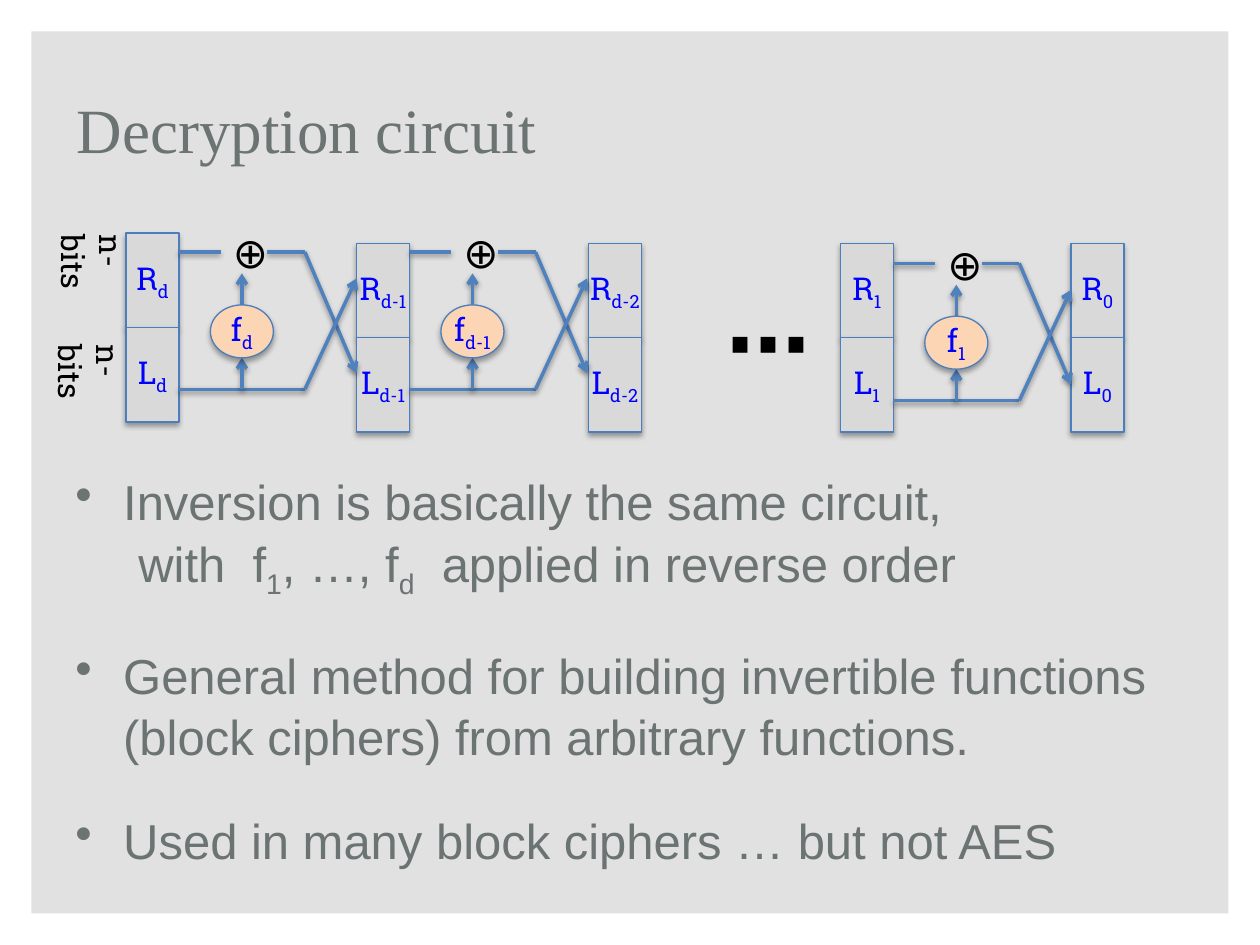
from lxml.etree import SubElement as Sub
from pptx import Presentation
from pptx.dml.color import RGBColor as Rgb
from pptx.enum.shapes import MSO_CONNECTOR as Conn, MSO_SHAPE as Form
from pptx.enum.text import MSO_ANCHOR as Anchor, PP_ALIGN as Align
from pptx.oxml.ns import qn
from pptx.util import Inches, Pt

TITLE = "Decryption circuit"
POINTS = [
    "Inversion is basically the same circuit, \n\twith  f|1|, …, f|d|  applied in reverse order",
    "General method for building invertible functions (block ciphers) from arbitrary functions.",
    "Used in many block ciphers … but not AES",
]
BLOCKS = [("d", 1, 1.85), ("d-1", 2.83, 1.93), ("d-2", 4.67, 1.93),
          ("1", 6.67, 1.93), ("0", 8.5, 1.93)]
ROUNDS = [("d", 1, 2), ("d-1", 2.83, 2), ("1", 6.67, 2.09)]
SIDES = [("n-bits", 0.49, 1.96), ("n-bits", 0.47, 2.83)]
WIRES = [
    (0.42, 1.09, 1.42, 1.09, False),
    (0.42, 0, 0.75, 0, False),
    (1.12, 0, 1.42, 0, False),
    (1.42, 0, 1.83, 0.96, True),
    (1.42, 1.09, 1.83, 0.21, True),
    (0.92, 1.09, 0.92, 0.84, True),
    (0.92, 0.42, 0.92, 0.17, True),
]
THEME = dict(
    panel="E1E1E1", text="6C7373", cell="D9D9D9", gate="FCD5B5",
    edge="4B7EBC", wire="4F81BD", label="0000FF", ink="000000",
    head="Times New Roman", body="Arial", slab="Roboto Slab",
    title=36, point=28, small=18, xor=24, dots=48,
)


def write(frame, text, font="slab", size="small", color="ink", bold=False,
          align=Align.LEFT, anchor=Anchor.TOP, pad=0.1, wrap=True, new=False):
    frame.word_wrap = wrap
    frame.vertical_anchor = anchor
    frame.margin_left = frame.margin_right = Inches(pad)
    frame.margin_top = frame.margin_bottom = Inches(0.05)
    para = frame.add_paragraph() if new else frame.paragraphs[0]
    para.alignment = align
    for i, part in enumerate(text.split("|")):
        for j, line in enumerate(part.split("\n")):
            if j:
                para.add_line_break()
            run = para.add_run()
            run.text = line
            run.font.name = THEME[font]
            run.font.size = Pt(THEME[size])
            run.font.bold = bold
            run.font.color.rgb = Rgb.from_string(THEME[color])
            if i % 2:
                run.font._element.set("baseline", "-25000")
    return para


def shade(item, alpha, dist):
    props = item._element.spPr
    glow = Sub(Sub(props, qn("a:effectLst")), qn("a:outerShdw"),
               blurRad=str(Pt(3.1)), dist=str(Pt(dist)), dir="5400000",
               rotWithShape="0")
    tint = Sub(glow, qn("a:srgbClr"), val=THEME["ink"])
    Sub(tint, qn("a:alpha"), val=str(alpha * 1000))


def node(slide, form, text, x, y, wide, high, fill):
    item = slide.shapes.add_shape(form, *map(Inches, (x, y, wide, high)))
    item.fill.solid()
    item.fill.fore_color.rgb = Rgb.from_string(THEME[fill])
    item.line.color.rgb = Rgb.from_string(THEME["edge"])
    item.line.width = Pt(0.75)
    shade(item, 35, 1.8)
    write(item.text_frame, text, color="label", align=Align.CENTER,
          anchor=Anchor.MIDDLE, pad=0)


def wire(slide, x1, y1, x2, y2, arrow):
    item = slide.shapes.add_connector(
        Conn.STRAIGHT, *map(Inches, (x1, y1, x2, y2)))
    item.line.color.rgb = Rgb.from_string(THEME["wire"])
    item.line.width = Pt(2)
    if arrow:
        Sub(item.line._get_or_add_ln(), qn("a:tailEnd"), type="arrow")
    shade(item, 38, 1.6)


def label(slide, text, x, y, wide, high, **style):
    item = slide.shapes.add_textbox(*map(Inches, (x, y, wide, high)))
    write(item.text_frame, text, **style)
    return item


def main():
    deck = Presentation()
    deck.slide_width, deck.slide_height = Inches(10), Inches(7.5)
    slide = deck.slides.add_slide(deck.slide_layouts[5])

    panel = slide.shapes.add_shape(
        Form.RECTANGLE, *map(Inches, (0.25, 0.25, 9.5, 7)))
    panel.fill.solid()
    panel.fill.fore_color.rgb = Rgb.from_string(THEME["panel"])
    panel.line.fill.background()
    panel.shadow.inherit = False
    slide.shapes._spTree.insert(2, panel._element)

    title = slide.shapes.title
    title.left, title.top, title.width, title.height = map(
        Inches, (0.51, 0.48, 7.91, 1.07))
    write(title.text_frame, TITLE, font="head", size="title", color="text",
          anchor=Anchor.MIDDLE)

    body = slide.shapes.add_textbox(*map(Inches, (0.5, 3.67, 9.33, 2.9)))
    for i, point in enumerate(POINTS):
        para = write(body.text_frame, point, font="body", size="point",
                     color="text", new=i > 0)
        props = para._p.get_or_add_pPr()
        props.set("marL", str(Inches(0.38)))
        props.set("indent", str(Inches(-0.38)))
        Sub(props, qn("a:buChar"), char="•")
        para.line_spacing = 1.05
        if i:
            para.space_before = Pt(23.8)

    for sub, x, y in BLOCKS:
        for row, name in enumerate("RL"):
            node(slide, Form.RECTANGLE, f"{name}|{sub}",
                 x, y + row * 0.75, 0.42, 0.75, "cell")

    for text, x, y in SIDES:
        label(slide, text, x, y, 0.79, 0.4).rotation = 90

    for sub, x, y in ROUNDS:
        label(slide, "⊕", x + 0.75, y - 0.25, 0.37, 0.5, size="xor", wrap=False)
        for x1, y1, x2, y2, arrow in WIRES:
            wire(slide, x + x1, y + y1, x + x2, y + y2, arrow)
        node(slide, Form.OVAL, f"f|{sub}", x + 0.67, y + 0.42, 0.5, 0.42, "gate")

    label(slide, "⋯", 5.67, 2.26, 0.54, 0.91, size="dots", bold=True, wrap=False)
    deck.save("out.pptx")


if __name__ == "__main__":
    main()
